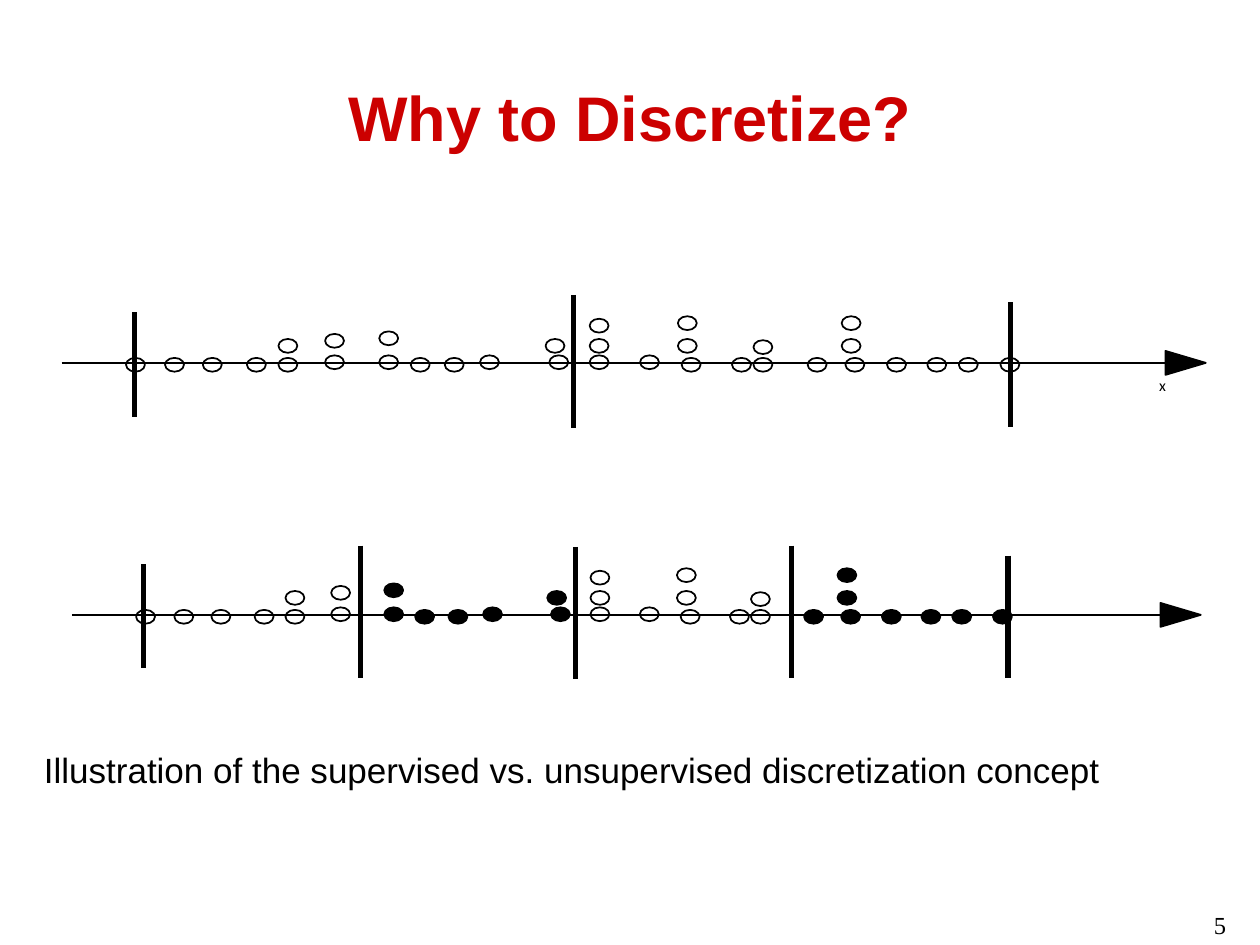
from lxml import etree
from pptx import Presentation
from pptx import util as u
from pptx.dml.color import RGBColor
from pptx.enum import shapes, text
from pptx.oxml import ns

presentation = Presentation()
presentation.slide_width = u.Inches(10)
presentation.slide_height = u.Inches(7.5)
column = presentation.slide_width // 100
row = presentation.slide_height // 75
slide = presentation.slides.add_slide(presentation.slide_layouts[6])

BLACK = "000000"


def add_text(parent, words, left, top, width, height, size, font="Arial", color=BLACK,
             bold=False, align=text.PP_ALIGN.LEFT, anchor=text.MSO_ANCHOR.TOP,
             wrap=True, margins=(1, 0.5), grow=False):
    box = parent.add_textbox(round(left * column), round(top * row),
                             round(width * column), round(height * row))
    frame = box.text_frame
    frame.word_wrap = wrap
    frame.vertical_anchor = anchor
    if grow:
        frame.auto_size = text.MSO_AUTO_SIZE.SHAPE_TO_FIT_TEXT
    frame.margin_left = frame.margin_right = round(margins[0] * column)
    frame.margin_top = frame.margin_bottom = round(margins[1] * row)
    paragraph = frame.paragraphs[0]
    paragraph.alignment = align
    run = paragraph.add_run()
    run.text = words
    run.font.size = u.Pt(size)
    run.font.name = font
    run.font.bold = bold
    run.font.color.rgb = RGBColor.from_string(color)


def add_line(parent, start, end, width):
    line = parent.add_connector(shapes.MSO_CONNECTOR.STRAIGHT,
                                round(start[0] * column), round(start[1] * row),
                                round(end[0] * column), round(end[1] * row))
    line.line.width = u.Pt(width)
    line.line.color.rgb = RGBColor.from_string(BLACK)
    etree.SubElement(line._element.spPr, ns.qn("a:effectLst"))


add_text(slide.shapes, "Why to Discretize?", 5, 3, 90, 12.5, 36, color="CC0000", bold=True,
         align=text.PP_ALIGN.CENTER, anchor=text.MSO_ANCHOR.MIDDLE)

dots = [
    (10, [28.4]), (13.1, [28.4]), (16.1, [28.4]), (19.6, [28.4]),
    (22.1, [28.4, 26.9]), (25.8, [28.2, 26.5]), (30.1, [28.2, 26.3]),
    (32.6, [28.4]), (35.3, [28.4]), (38.1, [28.2]), (43.3, [26.9]), (43.6, [28.2]),
    (46.8, [28.2, 26.9, 25.3]), (50.8, [28.2]), (53.8, [26.9, 25.1]), (54.1, [28.4]),
    (58.1, [28.4]), (59.8, [28.4, 27]), (64.1, [28.4]), (66.8, [26.9, 25.1]),
    (67.1, [28.4]), (70.4, [28.4]), (73.6, [28.4]), (76.1, [28.4]), (79.4, [28.4]),
]

axes = [
    dict(down=0, first=10, scale=1, start=4.9, head=92.5, tip=95.7, filled=[],
         cuts=[(10.7, 24.8, 33.1), (45.5, 23.4, 34), (80.2, 24, 33.9)]),
    dict(down=20, first=10.8, scale=0.98, start=5.7, head=92.1, tip=95.3,
         filled=[(28.6, 45.7), (62.8, 80)],
         cuts=[(11.4, 44.8, 53), (28.6, 43.3, 53.8), (45.7, 43.4, 53.9),
               (62.8, 43.3, 53.8), (80, 44.1, 53.8)]),
]

for axis in axes:
    group = slide.shapes.add_group_shape().shapes
    middle = 28.8 + axis["down"]
    add_line(group, (axis["start"], middle), (axis["head"], middle), 1)

    builder = group.build_freeform(round(axis["head"] * column), round((middle - 0.95) * row))
    builder.add_line_segments([(round(axis["tip"] * column), round(middle * row)),
                               (round(axis["head"] * column), round((middle + 0.95) * row))])
    arrowhead = builder.convert_to_shape()
    arrowhead.shadow.inherit = False
    arrowhead.fill.solid()
    arrowhead.fill.fore_color.rgb = RGBColor.from_string(BLACK)
    arrowhead.line.color.rgb = RGBColor.from_string(BLACK)
    arrowhead.line.width = u.Pt(1)

    for position, levels in dots:
        left = axis["first"] + (position - 10) * axis["scale"]
        filled = any(low < left < high for low, high in axis["filled"])
        for level in levels:
            dot = group.add_shape(shapes.MSO_SHAPE.OVAL, round(left * column),
                                  round((level + axis["down"]) * row),
                                  round(1.5 * column), round(1.1 * row))
            dot.shadow.inherit = False
            dot.line.color.rgb = RGBColor.from_string(BLACK)
            dot.line.width = u.Pt(1)
            if filled:
                dot.fill.solid()
                dot.fill.fore_color.rgb = RGBColor.from_string(BLACK)
            else:
                dot.fill.background()

    for across, top, bottom in axis["cuts"]:
        add_line(group, (across, top), (across, bottom), 3)

    if axis["down"] == 0:
        add_text(group, "x", 92, 29.8, 0.7, 1.5, 9, font="Calibri", wrap=False,
                 margins=(0, 0), grow=True)

add_text(slide.shapes, "Illustration of the supervised vs. unsupervised discretization concept",
         2.5, 58.9, 94.8, 4.4, 20, grow=True)
add_text(slide.shapes, "5", 75, 71.7, 23.3, 5.2, 14, font="Times New Roman",
         align=text.PP_ALIGN.RIGHT)

presentation.save("out.pptx")
